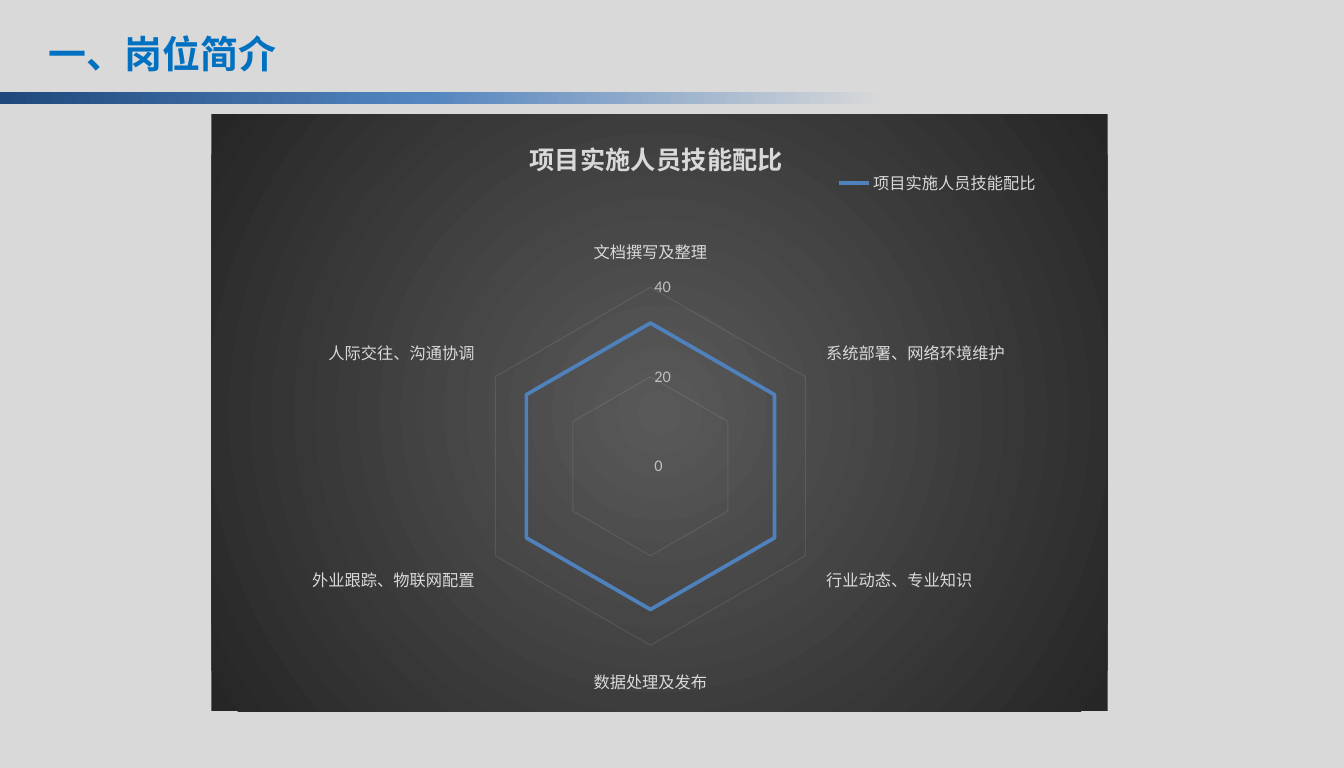
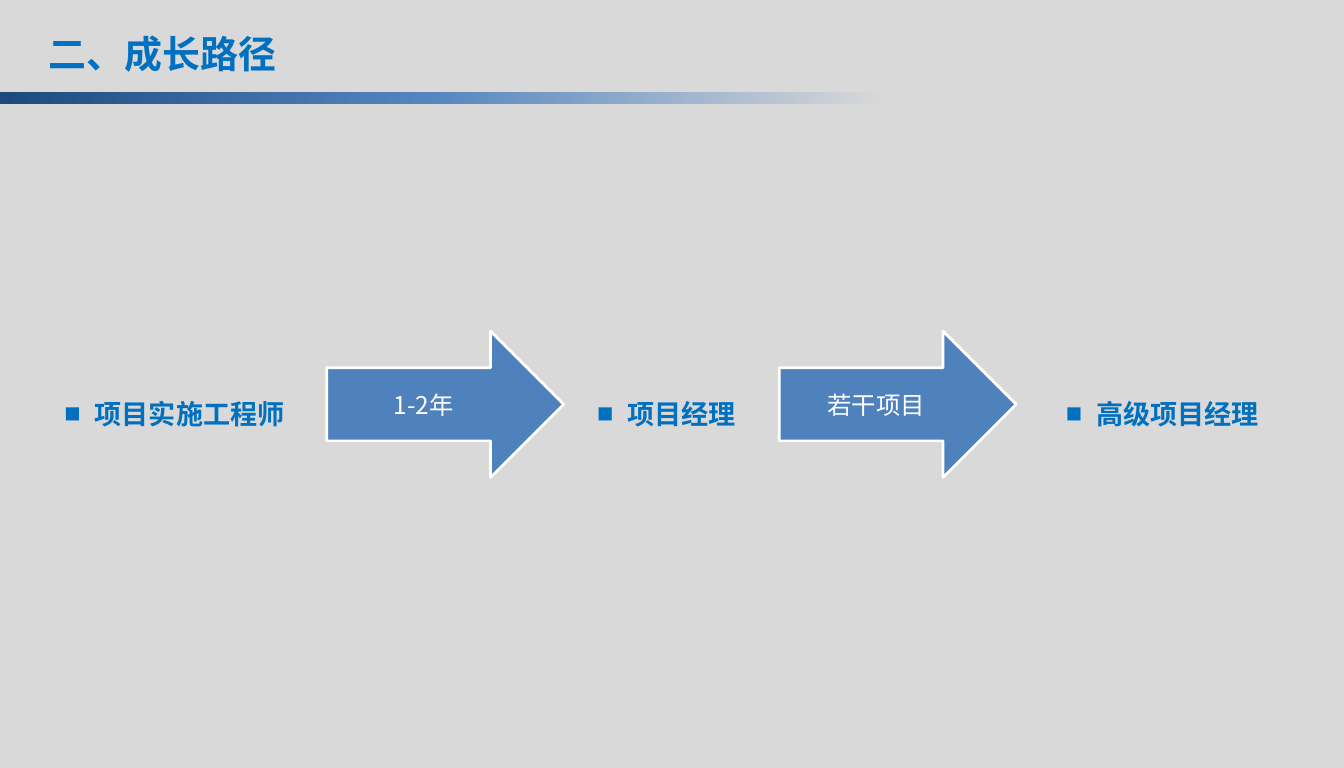
import pptx
import pptx.chart.data
import pptx.dml.color
import pptx.enum.chart
import pptx.enum.shapes
import pptx.enum.text
import pptx.oxml
import pptx.oxml.ns
import pptx.util

BACKGROUND = pptx.dml.color.RGBColor(0xD9, 0xD9, 0xD9)
NAVY = pptx.dml.color.RGBColor(0x1F, 0x49, 0x7D)
MID_BLUE = pptx.dml.color.RGBColor(0x54, 0x85, 0xBF)
TITLE_BLUE = pptx.dml.color.RGBColor(0x00, 0x70, 0xC0)
ACCENT = pptx.dml.color.RGBColor(0x4F, 0x81, 0xBD)
WHITE = pptx.dml.color.RGBColor(0xFF, 0xFF, 0xFF)
GRID_GRAY = pptx.dml.color.RGBColor(0xF2, 0xF2, 0xF2)
LABEL_GRAY = pptx.dml.color.RGBColor(0xBF, 0xBF, 0xBF)
CHART_CENTER = pptx.dml.color.RGBColor(0x59, 0x59, 0x59)
CHART_EDGE = pptx.dml.color.RGBColor(0x26, 0x26, 0x26)
HEADING_FONT = "Noto Sans CJK SC"
CHART_FONT = "Calibri"
DRAWING = pptx.oxml.ns.nsdecls("a")
CHARTING = pptx.oxml.ns.nsdecls("c", "a")
LEFT = pptx.enum.text.PP_ALIGN.LEFT
CENTER = pptx.enum.text.PP_ALIGN.CENTER
TOP = pptx.enum.text.MSO_ANCHOR.TOP
MIDDLE = pptx.enum.text.MSO_ANCHOR.MIDDLE


def write(frame, text, size, color, bold=False, font=HEADING_FONT, align=LEFT, spacing=None, bullet=None):
    frame.word_wrap = True
    para = frame.paragraphs[0]
    para.alignment = align
    para.line_spacing = spacing
    span = para.add_run()
    span.text = text
    span.font.size = pptx.util.Pt(size)
    span.font.bold = bold
    span.font.color.rgb = color
    span.font.name = font
    span._r.get_or_add_rPr().append(
        pptx.oxml.parse_xml(f'<a:ea {DRAWING} typeface="{HEADING_FONT}"/>'))
    if bullet:
        indent = pptx.util.Inches(0.31)
        properties = para._p.get_or_add_pPr()
        properties.set("marL", str(indent))
        properties.set("indent", str(-indent))
        for markup in (f'<a:buFont {DRAWING} typeface="Arial"/>',
                       f'<a:buChar {DRAWING} char="{bullet}"/>'):
            properties.append(pptx.oxml.parse_xml(markup))


def gradient(stops, direction):
    marks = "".join(f'<a:gs pos="{share * 1000}"><a:srgbClr val="{color}"/></a:gs>'
                    for share, color in stops)
    return pptx.oxml.parse_xml(
        f'<a:gradFill {DRAWING} rotWithShape="1"><a:gsLst>{marks}</a:gsLst>{direction}</a:gradFill>')


deck = pptx.Presentation()
deck.slide_width = pptx.util.Cm(35)
deck.slide_height = pptx.util.Cm(20)
column = deck.slide_width / 100
row = deck.slide_height / 100

master_fill = deck.slide_master.background.fill
master_fill.solid()
master_fill.fore_color.rgb = BACKGROUND

pages = []
for heading in ("一、岗位简介", "二、成长路径"):
    page = deck.slides.add_slide(deck.slide_layouts[5])
    band = page.shapes.add_shape(pptx.enum.shapes.MSO_SHAPE.RECTANGLE,
                                 0, int(12.02 * row), int(66 * column), int(1.55 * row))
    band.shadow.inherit = False
    band.line.fill.background()
    band.fill.background()
    empty_fill = band.element.xpath("./p:spPr/a:noFill")[0]
    empty_fill.getparent().replace(empty_fill, gradient(
        [(0, NAVY), (48, MID_BLUE), (100, BACKGROUND)], '<a:lin ang="0" scaled="0"/>'))

    title = page.shapes.title
    title.left, title.top = int(2.9 * column), int(3.3 * row)
    title.width, title.height = int(84 * column), int(7.23 * row)
    title.text_frame.auto_size = pptx.enum.text.MSO_AUTO_SIZE.NONE
    title.text_frame.vertical_anchor = MIDDLE
    write(title.text_frame, heading, 28, TITLE_BLUE, bold=True)
    pages.append(page)

skills_page, path_page = pages

skills = ["文档撰写及整理", "系统部署、网络环境维护", "行业动态、专业知识",
          "数据处理及发布", "外业跟踪、物联网配置", "人际交往、沟通协调"]
skills_title = "项目实施人员技能配比"
skills_data = pptx.chart.data.CategoryChartData()
skills_data.categories = skills
skills_data.add_series(skills_title, [32] * len(skills))
chart = skills_page.shapes.add_chart(
    pptx.enum.chart.XL_CHART_TYPE.RADAR, int(15.72 * column), int(14.87 * row),
    int(66.69 * column), int(77.72 * row), skills_data).chart
chart.font.size = pptx.util.Pt(10)
chart.font.name = CHART_FONT

chart.has_title = True
write(chart.chart_title.text_frame, skills_title, 18.6, BACKGROUND,
      bold=True, font=CHART_FONT, align=CENTER)
chart.has_legend = True
chart.legend.position = pptx.enum.chart.XL_LEGEND_POSITION.TOP
chart.legend.include_in_layout = False

spokes, scale = chart.category_axis, chart.value_axis
for font, color in ((chart.legend.font, BACKGROUND),
                    (spokes.tick_labels.font, BACKGROUND),
                    (scale.tick_labels.font, LABEL_GRAY)):
    font.size = pptx.util.Pt(12)
    font.name = CHART_FONT
    font.color.rgb = color
for axis in (spokes, scale):
    axis.major_tick_mark = pptx.enum.chart.XL_TICK_MARK.NONE
    axis.minor_tick_mark = pptx.enum.chart.XL_TICK_MARK.NONE
spokes.has_major_gridlines = False
spokes.format.line.color.rgb = GRID_GRAY
spokes.format.line.width = pptx.util.Pt(1)
scale.minimum_scale, scale.maximum_scale, scale.major_unit = 0, 40, 20
scale.format.line.fill.background()
scale.has_major_gridlines = True
scale.major_gridlines.format.line.color.rgb = GRID_GRAY
scale.major_gridlines.format.line.width = pptx.util.Pt(0.75)

for tag, percent in (("catAx/c:spPr", 54), ("majorGridlines", 10)):
    color = chart.element.xpath(f".//c:{tag}//a:srgbClr")[0]
    color.append(pptx.oxml.parse_xml(f'<a:alpha {DRAWING} val="{percent * 1000}"/>'))

series = chart.plots[0].series[0]
series.smooth = False
series.format.line.color.rgb = ACCENT
series.format.line.width = pptx.util.Pt(2.75)

layouts = (
    ("title", 1, "", {"x": 0.35, "y": 0.03}),
    ("legend", 1, "", {"x": 0.69, "y": 0.09, "w": 0.24, "h": 0.05}),
    ("plotArea", 0, '<c:layoutTarget val="inner"/>', {"x": 0.29, "y": 0.29, "w": 0.4, "h": 0.6}),
)
for tag, position, target, shares in layouts:
    part = chart.element.xpath(f"./c:chart//c:{tag}")[0]
    for old_layout in part.xpath("./c:layout"):
        part.remove(old_layout)
    modes = "".join(f'<c:{side}Mode val="edge"/>' for side in "xy")
    sizes = "".join(f'<c:{side} val="{share}"/>' for side, share in shares.items())
    part.insert(position, pptx.oxml.parse_xml(
        f"<c:layout {CHARTING}><c:manualLayout>{target}{modes}{sizes}</c:manualLayout></c:layout>"))

chart_area = pptx.oxml.parse_xml(f"<c:spPr {CHARTING}><a:ln><a:noFill/></a:ln></c:spPr>")
chart_area.insert(0, gradient(
    [(0, CHART_CENTER), (100, CHART_EDGE)],
    '<a:path path="circle"><a:fillToRect l="50000" t="50000" r="50000" b="50000"/></a:path>'))
chart.element.xpath("./c:chart")[0].addnext(chart_area)

for left, role in ((4.08, "项目实施工程师"), (43.71, "项目经理"), (78.59, "高级项目经理")):
    box = path_page.shapes.add_textbox(int(left * column), int(49 * row),
                                       int(20 * column), int(7 * row))
    box.text_frame.vertical_anchor = TOP
    write(box.text_frame, role, 20, TITLE_BLUE, bold=True, spacing=1.5, bullet="■")

for left, condition in ((24.31, "1-2年"), (57.98, "若干项目")):
    arrow = path_page.shapes.add_shape(
        pptx.enum.shapes.MSO_SHAPE.RIGHT_ARROW, int(left * column), int(43.13 * row),
        int(17.63 * column), int(19.04 * row))
    arrow.shadow.inherit = False
    arrow.fill.solid()
    arrow.fill.fore_color.rgb = ACCENT
    arrow.line.color.rgb = WHITE
    arrow.line.width = pptx.util.Pt(2)
    frame = arrow.text_frame
    frame.margin_left = frame.margin_bottom = 0
    frame.margin_top = pptx.util.Inches(0.04)
    frame.margin_right = pptx.util.Inches(0.07)
    frame.vertical_anchor = MIDDLE
    write(frame, condition, 18, WHITE, align=CENTER, spacing=0.9)

deck.save("out.pptx")
